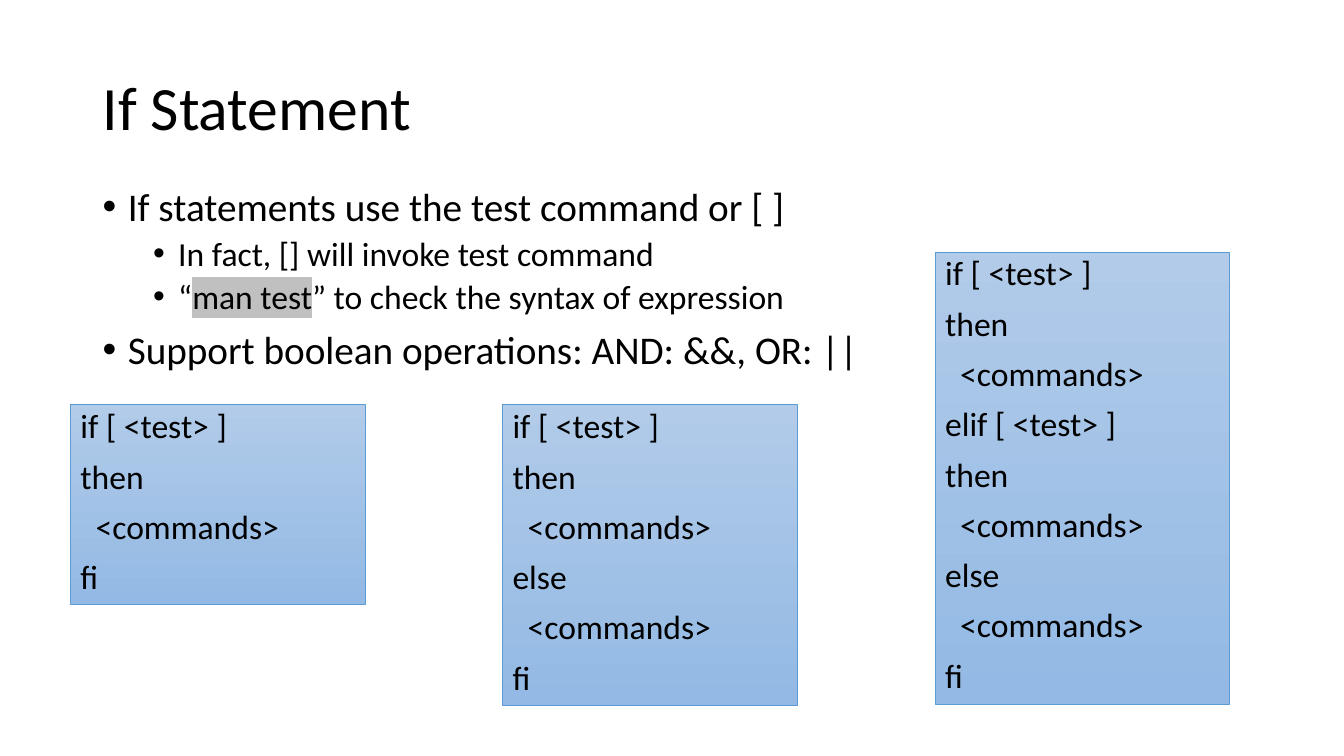
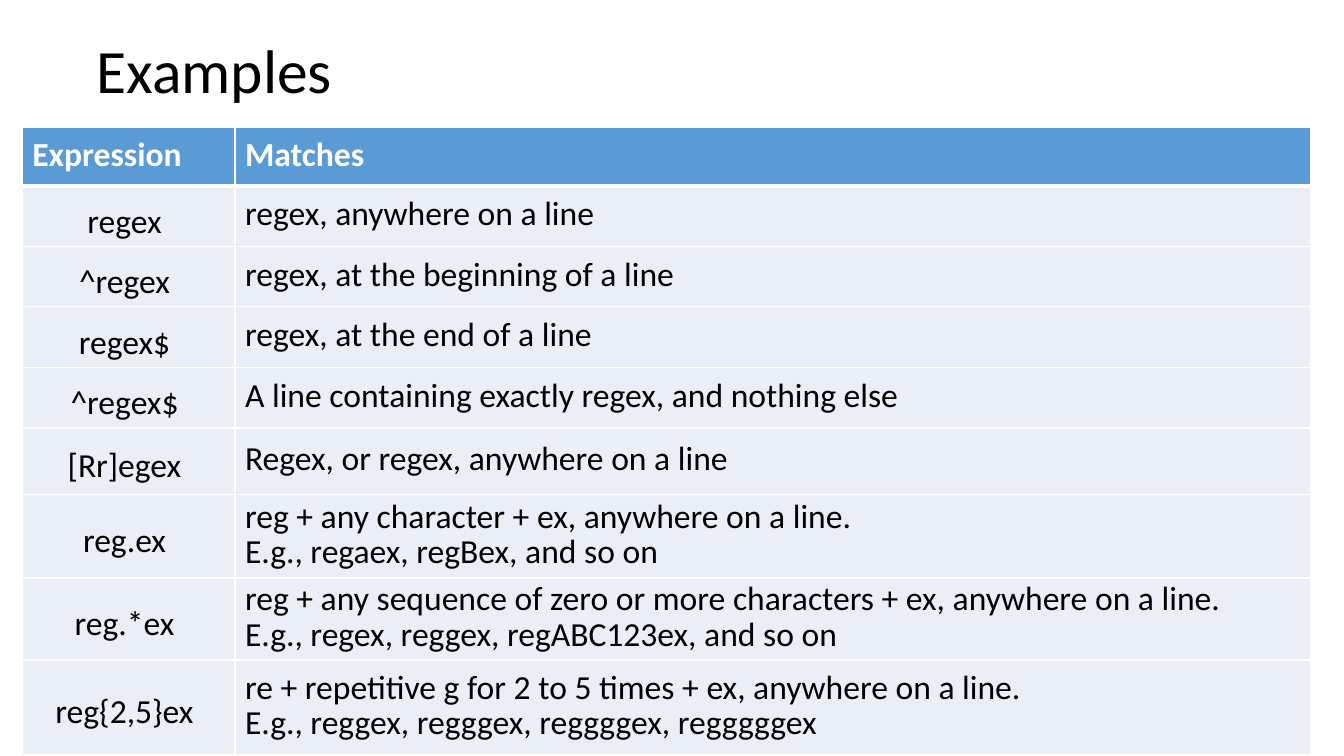
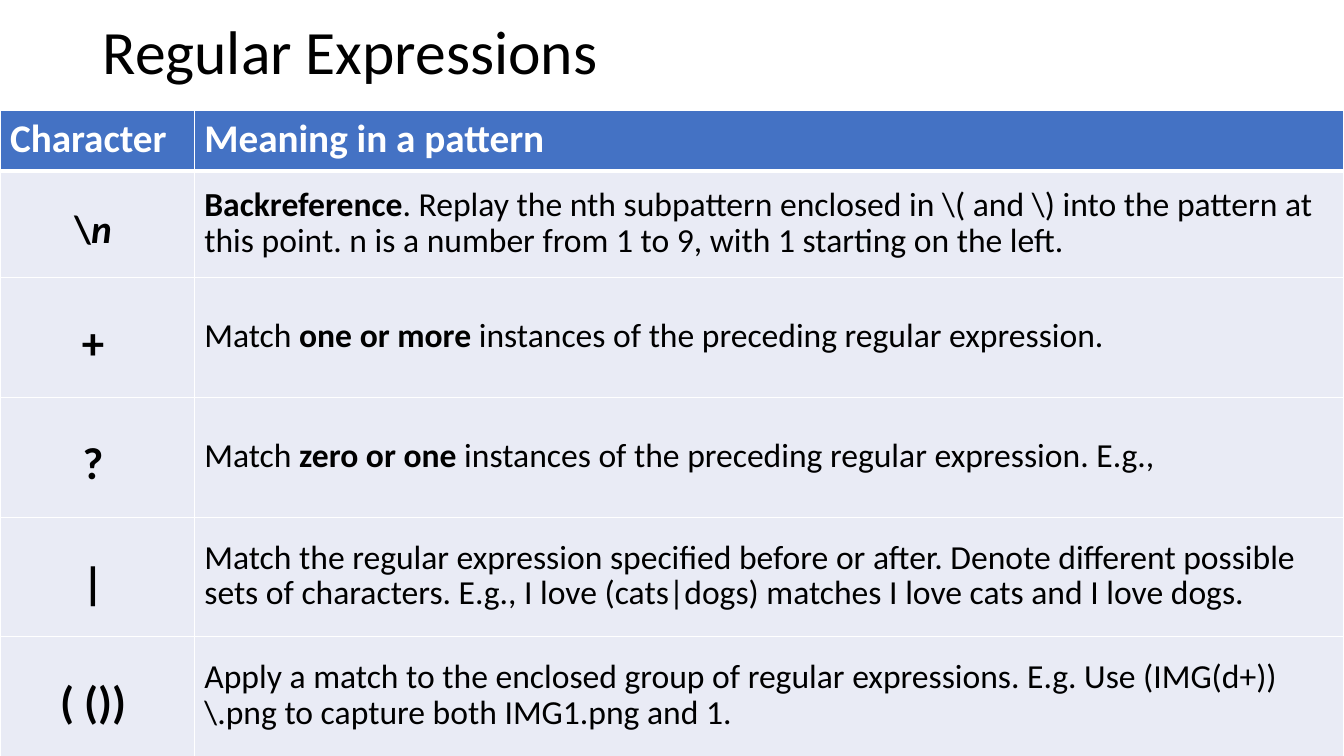
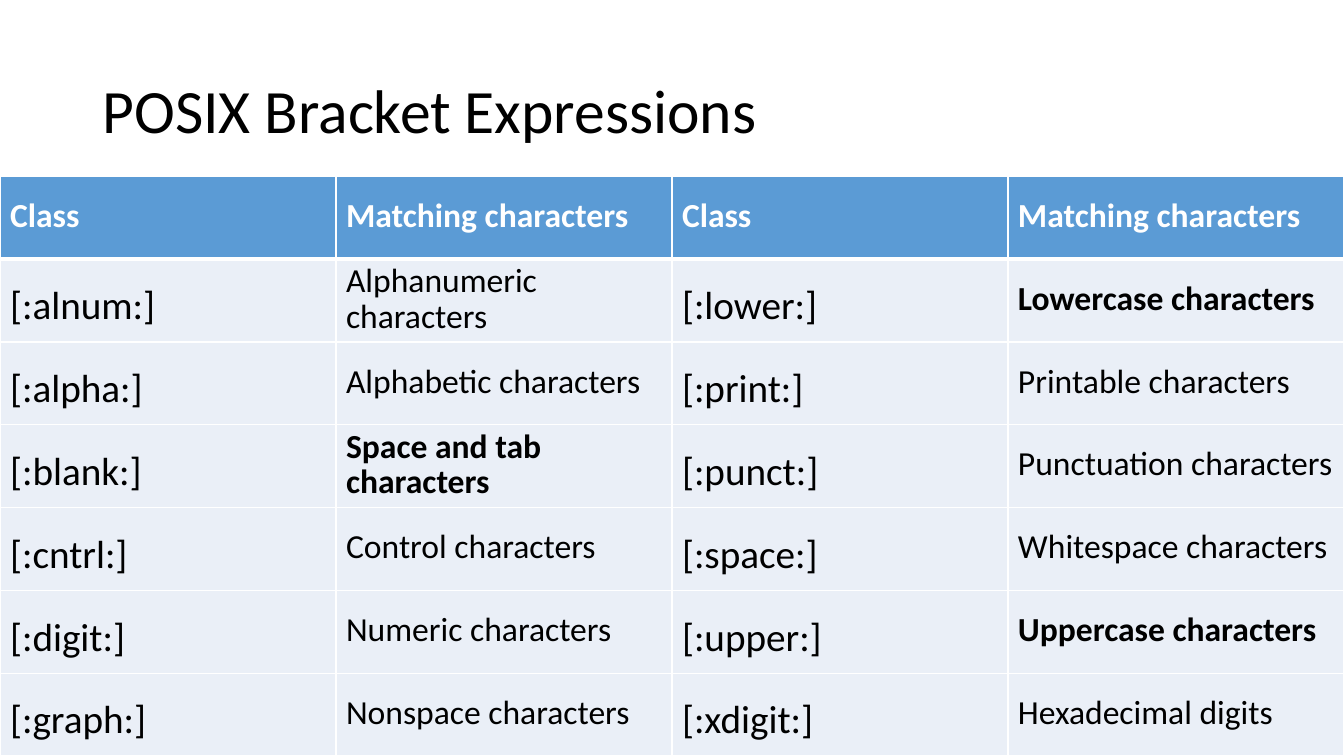
from lxml import etree
from pptx import Presentation
from pptx.dml.color import RGBColor
from pptx.enum.shapes import MSO_SHAPE
from pptx.enum.text import MSO_ANCHOR, MSO_AUTO_SIZE, PP_ALIGN
from pptx.oxml.ns import qn
from pptx.util import Pt

RECTANGLE = MSO_SHAPE.RECTANGLE
MIDDLE, TOP = MSO_ANCHOR.MIDDLE, MSO_ANCHOR.TOP
LEFT, CENTER = PP_ALIGN.LEFT, PP_ALIGN.CENTER
FIT_SHAPE = MSO_AUTO_SIZE.SHAPE_TO_FIT_TEXT

FONT = "Calibri"
COLORS = {
    "text": "000000",
    "white": "FFFFFF",
    "highlight": "C0C0C0",
    "code_top": "B1CBE9",
    "code_bottom": "93B9E4",
    "blue": "5B9BD5",
    "blue_pale": "EAEFF7",
    "indigo": "4472C4",
    "indigo_pale": "E9EBF5",
}
SLIDE_WIDTH, SLIDE_HEIGHT = 960, 540
TITLE_LEFT, TITLE_WIDTH = 66.24, 828

BULLETS = [
    (0, "If statements use the test command or [ ]"),
    (1, "In fact, [] will invoke test command"),
    (1, [("“", ""), ("man test", "h"), ("” to check the syntax of expression", "")]),
    (0, "Support boolean operations: AND: &&, OR: ||"),
]
# Left, top, height and lines of each code box; a leading tab marks an indented line
CODE_BOXES = [
    (50.4, 289.2, 142.4, ["if [ <test> ]", "then", "\t<commands>", "fi"]),
    (668, 180, 323.2, ["if [ <test> ]", "then", "\t<commands>", "elif [ <test> ]", "then",
                       "\t<commands>", "else", "\t<commands>", "fi"]),
    (359, 289.2, 214.4, ["if [ <test> ]", "then", "\t<commands>", "else", "\t<commands>", "fi"]),
]
EXAMPLES = [
    ("Expression", "Matches"),
    ("regex", "regex, anywhere on a line"),
    ("^regex", "regex, at the beginning of a line"),
    ("regex$", "regex, at the end of a line"),
    ("^regex$", "A line containing exactly regex, and nothing else"),
    ("[Rr]egex", "Regex, or regex, anywhere on a line"),
    ("reg.ex", "reg + any character + ex, anywhere on a line.\nE.g., regaex, regBex, and so on"),
    ("reg.*ex", "reg + any sequence of zero or more characters + ex, anywhere on a line.\n"
                "E.g., regex, reggex, regABC123ex, and so on"),
    ("reg{2,5}ex", "re + repetitive g for 2 to 5 times + ex, anywhere on a line.\n"
                   "E.g., reggex, regggex, reggggex, regggggex"),
]
PATTERNS = [
    ("Character", "Meaning in a pattern"),
    ([("\\", "b"), ("n", "bi")],
     [("Backreference", "b"),
      (". Replay the nth subpattern enclosed in \\( and \\) into the pattern at this point. "
       "n is a number from 1 to 9, with 1 starting on the left.", "")]),
    ([("+", "b")], [("Match ", ""), ("one or more ", "b"),
                    ("instances of the preceding regular expression.", "")]),
    ([("?", "b")], [("Match ", ""), ("zero or one", "b"),
                    (" instances of the preceding regular expression. E.g.,", "")]),
    ([("|", "b")], "Match the regular expression specified before or after. Denote different "
                   "possible sets of characters. E.g., I love (cats|dogs) matches I love cats "
                   "and I love dogs."),
    ([("( ())", "b")], "Apply a match to the enclosed group of regular expressions. E.g. Use "
                       "(IMG(d+))\\.png to capture both IMG1.png and 1."),
]
BRACKETS = [
    ("Class", "Matching characters", "Class", "Matching characters"),
    ("[:alnum:]", "Alphanumeric characters", "[:lower:]", [("Lowercase characters", "b")]),
    ("[:alpha:]", "Alphabetic characters", "[:print:]", "Printable characters"),
    ("[:blank:]", [("Space and tab characters", "b")], "[:punct:]", "Punctuation characters"),
    ("[:cntrl:]", "Control characters", "[:space:]", "Whitespace characters"),
    ("[:digit:]", "Numeric characters", "[:upper:]", [("Uppercase characters", "b")]),
    ("[:graph:]", "Nonspace characters", "[:xdigit:]", "Hexadecimal digits"),
]


def color(name):
    return RGBColor.from_string(COLORS[name])


def points(*lengths):
    return [Pt(length) for length in lengths]


def format_run(run, size, color_name="text", flags=""):
    """Flags: b bold, i italic, h highlighted."""
    font = run.font
    font.name, font.size = FONT, Pt(size)
    font.bold, font.italic = "b" in flags, "i" in flags
    font.color.rgb = color(color_name)
    if "h" in flags:
        highlight = etree.Element(qn("a:highlight"))
        etree.SubElement(highlight, qn("a:srgbClr"), val=COLORS["highlight"])
        run.font._element.find(qn("a:solidFill")).addnext(highlight)


def write_paragraph(paragraph, content, size, line_spacing=0.9, space_before=0,
                    color_name="text", flags=""):
    """Content is a plain string or a list of (text, flags) runs."""
    if isinstance(content, str):
        content = [(content, flags)]
    for text, run_flags in content:
        run = paragraph.add_run()
        run.text = text
        format_run(run, size, color_name, run_flags)
    paragraph.line_spacing = line_spacing
    paragraph.space_before = Pt(space_before)


def indent(paragraph, left, first=0, bullet=None):
    properties = paragraph._p.get_or_add_pPr()
    properties.set("marL", str(Pt(left)))
    properties.set("indent", str(Pt(first)))
    if bullet:
        etree.SubElement(properties, qn("a:buFont"), typeface="Arial")
        etree.SubElement(properties, qn("a:buChar"), char=bullet)


def paragraphs_for(text_frame, count):
    """Return the first paragraph and as many new ones as needed."""
    return [text_frame.paragraphs[0]] + [text_frame.add_paragraph() for _ in range(count - 1)]


def add_title(slide, text, top, height=104.4, left=TITLE_LEFT):
    box = slide.shapes.add_textbox(*points(left, top, TITLE_WIDTH, height))
    text_frame = box.text_frame
    text_frame.word_wrap = True
    text_frame.vertical_anchor = MIDDLE
    write_paragraph(text_frame.paragraphs[0], text, 44)


def add_bullets(slide, items, left, top, width, height):
    text_frame = slide.shapes.add_textbox(*points(left, top, width, height)).text_frame
    text_frame.word_wrap = True
    for paragraph, (level, content) in zip(paragraphs_for(text_frame, len(items)), items):
        paragraph.level = level
        write_paragraph(paragraph, content, 28 - 4 * level, space_before=10 - 5 * level)
        indent(paragraph, 18 + 36 * level, -18, "•")


def add_code_box(slide, lines, left, top, width, height):
    shape = slide.shapes.add_shape(RECTANGLE, *points(left, top, width, height))
    shape.shadow.inherit = False
    shape.fill.gradient()
    shape.fill.gradient_angle = 270
    for stop, name in zip(shape.fill.gradient_stops, ("code_top", "code_bottom")):
        stop.color.rgb = color(name)
    shape.line.color.rgb = color("blue")
    shape.line.width = Pt(0.5)
    text_frame = shape.text_frame
    text_frame.word_wrap = True
    text_frame.auto_size = FIT_SHAPE
    text_frame.vertical_anchor = TOP
    for paragraph, line in zip(paragraphs_for(text_frame, len(lines)), lines):
        paragraph.alignment = LEFT
        write_paragraph(paragraph, line.lstrip("\t"), 24, space_before=10)
        if line.startswith("\t"):
            indent(paragraph, 10.8)


def set_borders(cell, top, bottom):
    properties = cell._tc.get_or_add_tcPr()
    for side, width in (("L", 1), ("R", 1), ("T", top), ("B", bottom)):
        line = etree.SubElement(properties, qn("a:ln" + side), w=str(Pt(width)))
        fill = etree.SubElement(line, qn("a:solidFill"))
        etree.SubElement(fill, qn("a:srgbClr"), val=COLORS["white"])


def add_table(slide, rows, left, top, column_widths, row_heights, palette="blue",
              header_size=24, key_sizes=None, key_alignment=CENTER):
    """Even columns hold keys and odd columns hold their descriptions."""
    frame = slide.shapes.add_table(len(rows), len(column_widths), *points(
        left, top, sum(column_widths), sum(row_heights)))
    table = frame.table
    for column, width in zip(table.columns, column_widths):
        column.width = Pt(width)
    for row, height in zip(table.rows, row_heights):
        row.height = Pt(height)
    key_sizes = key_sizes or [24] * len(rows)
    for row_index, row in enumerate(rows):
        is_header = row_index == 0
        for column_index, content in enumerate(row):
            is_key = column_index % 2 == 0 and not is_header
            cell = table.cell(row_index, column_index)
            set_borders(cell, 3 if row_index == 1 else 1, 3 if is_header else 1)
            cell.fill.solid()
            cell.fill.fore_color.rgb = color(palette if is_header else palette + "_pale")
            cell.vertical_anchor = MIDDLE
            centered = is_key and key_alignment == CENTER
            cell.margin_left, cell.margin_right = points(7.2, 13 if centered else 7.2)
            cell.margin_top, cell.margin_bottom = points(3.6 if is_key else 2.3, 3.6)
            size = header_size if is_header else key_sizes[row_index] if is_key else 24
            parts = content.split("\n") if isinstance(content, str) else [content]
            for paragraph, part in zip(paragraphs_for(cell.text_frame, len(parts)), parts):
                paragraph.alignment = key_alignment if is_key else LEFT
                write_paragraph(paragraph, part, size, 1.25 if is_key else 0.87,
                                color_name="white" if is_header else "text",
                                flags="b" if is_header else "")


def build_if_statement(slide):
    add_title(slide, "If Statement", 26.64)
    add_bullets(slide, BULLETS, TITLE_LEFT, 130.5, 623, 149)
    for left, top, height, lines in CODE_BOXES:
        add_code_box(slide, lines, left, top, 210.24, height)


def build_examples(slide):
    add_title(slide, "Examples", 0, left=61.92)
    add_table(slide, EXAMPLES, 15.84, 91, [152, 768], [41.76] * 5 + [47.5, 59.76, 58.5, 67.5])


def build_regular_expressions(slide):
    add_table(slide, PATTERNS, 0, 78.7, [138.8, 821.2], [43.7, 76.1] + [85.5] * 4,
              palette="indigo", header_size=28, key_sizes=[28, 28] + [32] * 4)
    add_title(slide, "Regular Expressions", 0, height=78.5)


def build_bracket_expressions(slide):
    add_title(slide, "POSIX Bracket Expressions", 28.8)
    add_table(slide, BRACKETS, 0, 126, [SLIDE_WIDTH / 4] * 4,
              [(SLIDE_HEIGHT - 126) / len(BRACKETS)] * len(BRACKETS),
              key_sizes=[28] * len(BRACKETS), key_alignment=LEFT)


def main():
    presentation = Presentation()
    presentation.slide_width, presentation.slide_height = points(SLIDE_WIDTH, SLIDE_HEIGHT)
    blank = presentation.slide_layouts[6]
    for build in (build_if_statement, build_examples, build_regular_expressions,
                  build_bracket_expressions):
        build(presentation.slides.add_slide(blank))
    presentation.save("out.pptx")


if __name__ == "__main__":
    main()
